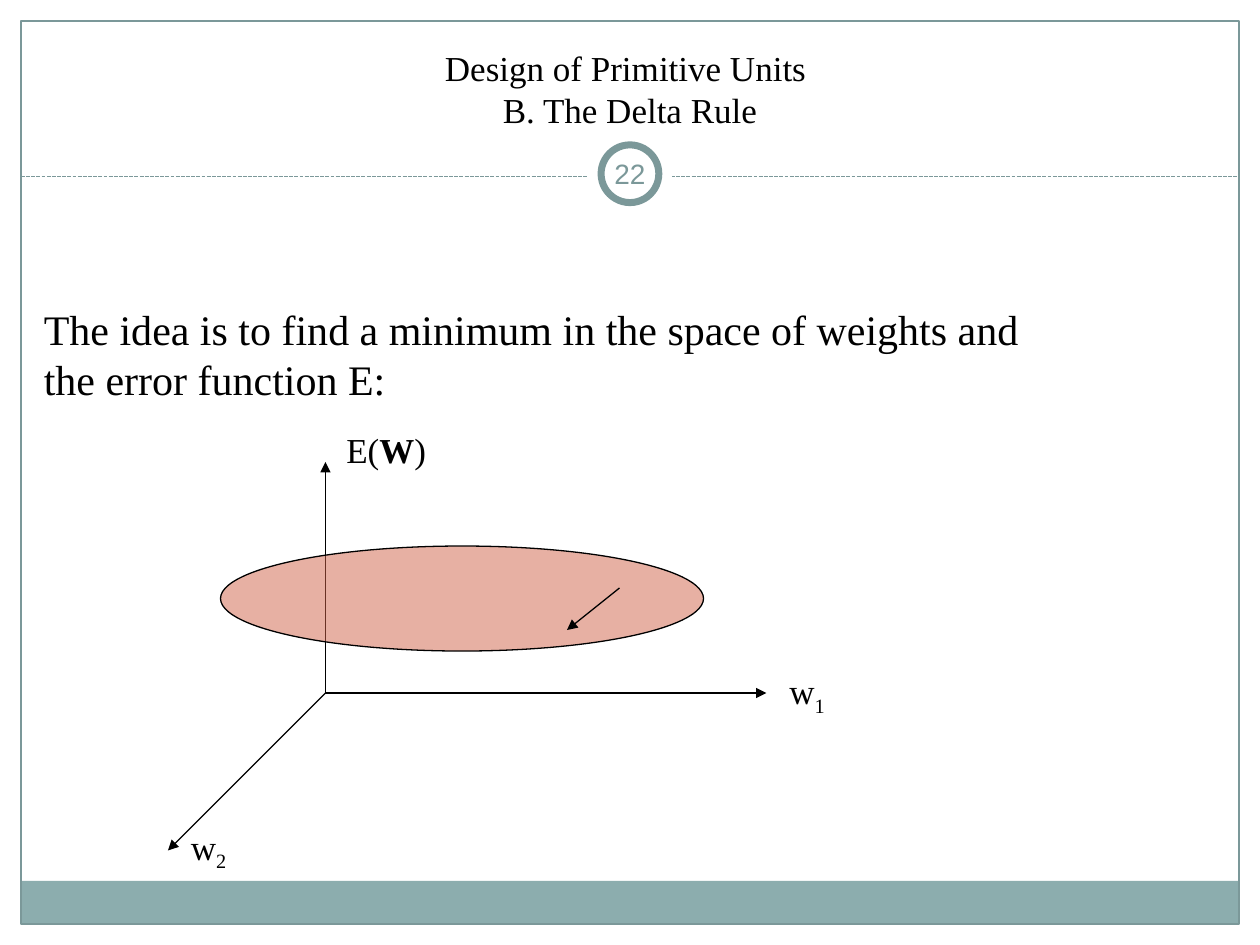
from dataclasses import dataclass

from lxml.etree import SubElement
from pptx import Presentation
from pptx.dml.color import RGBColor
from pptx.enum.dml import MSO_LINE
from pptx.enum.shapes import MSO_CONNECTOR, MSO_SHAPE as SHAPE
from pptx.enum.text import MSO_ANCHOR as ANCHOR, MSO_AUTO_SIZE as AUTO, PP_ALIGN as ALIGN
from pptx.oxml.ns import qn
from pptx.util import Inches, Pt


@dataclass(frozen=True)
class Theme:
    """Colours, fonts and type sizes of the slide."""
    ink: str = "000000"
    paper: str = "FFFFFF"
    teal: str = "7B9899"
    band: str = "8CADAE"
    surface: str = "D16349"
    serif: str = "Times New Roman"
    sans: str = "Arial"
    number: int = 16
    label: int = 20
    body: int = 24
    hairline: float = 0.75
    ring: float = 4


THEME = Theme()
COLUMNS, ROWS = 120, 90
CELL = Inches(10) / COLUMNS


def grid(*cells):
    """Turn grid columns and rows into lengths."""
    return [round(cell * CELL) for cell in cells]


def write(frame, *paragraphs, size=THEME.label, font=THEME.serif, color=THEME.ink,
          align=ALIGN.LEFT, anchor=ANCHOR.TOP, insets=(0.1, 0.05), hanging=0,
          wrap=True, grow=False):
    """Fill a text frame with paragraphs made of (text, style) pieces."""
    frame.word_wrap = wrap
    frame.auto_size = AUTO.SHAPE_TO_FIT_TEXT if grow else AUTO.NONE
    frame.vertical_anchor = anchor
    frame.margin_left = frame.margin_right = Inches(insets[0])
    frame.margin_top = frame.margin_bottom = Inches(insets[1])
    for index, pieces in enumerate(paragraphs):
        paragraph = frame.add_paragraph() if index else frame.paragraphs[0]
        paragraph.alignment = align
        paragraph.space_before = Pt(0)
        if hanging:
            properties = paragraph._p.get_or_add_pPr()
            properties.set("marL", str(Inches(hanging)))
            properties.set("indent", str(-Inches(hanging)))
        for text, style in pieces:
            if style == "new line":
                paragraph.add_line_break()
            run = paragraph.add_run()
            run.text = text
            run.font.size = Pt(size)
            run.font.name = font
            run.font.color.rgb = RGBColor.from_string(color)
            run.font.bold = style == "bold"
            if style == "subscript":
                run._r.get_or_add_rPr().set("baseline", "-25000")


def add_text(slide, place, *paragraphs, **style):
    """Add a text box at a grid place."""
    box = slide.shapes.add_textbox(*grid(*place))
    write(box.text_frame, *paragraphs, **style)


def add_figure(slide, kind, place, fill=None, line=None, width=THEME.hairline, opacity=100):
    """Add a preset shape at a grid place."""
    figure = slide.shapes.add_shape(kind, *grid(*place))
    figure.shadow.inherit = False
    if fill:
        figure.fill.solid()
        figure.fill.fore_color.rgb = RGBColor.from_string(fill)
        if opacity < 100:
            tint = figure._element.spPr.find(qn("a:solidFill")).find(qn("a:srgbClr"))
            SubElement(tint, qn("a:alpha")).set("val", str(opacity * 1000))
    else:
        figure.fill.background()
    if line:
        figure.line.color.rgb = RGBColor.from_string(line)
        figure.line.width = Pt(width)
    else:
        figure.line.fill.background()


def add_line(slide, start, end, color=THEME.ink, dash=None, arrow=True):
    """Add a straight line between two grid points."""
    line = slide.shapes.add_connector(MSO_CONNECTOR.STRAIGHT, *grid(*start, *end))
    line.line.color.rgb = RGBColor.from_string(color)
    line.line.width = Pt(THEME.hairline)
    if dash:
        line.line.dash_style = dash
    if arrow:
        SubElement(line.line._get_or_add_ln(), qn("a:tailEnd")).set("type", "triangle")
    SubElement(line._element.spPr, qn("a:effectLst"))


def add_frame(slide, number):
    """Draw the border, footer band, divider and number badge."""
    add_figure(slide, SHAPE.RECTANGLE, (2, 83.9, COLUMNS - 4, 4.1), fill=THEME.band)
    add_figure(slide, SHAPE.RECTANGLE, (2, 2, COLUMNS - 4, ROWS - 4), line=THEME.teal)
    add_line(slide, (2, 16.8), (COLUMNS - 2, 16.8), THEME.teal, MSO_LINE.SQUARE_DOT, arrow=False)
    add_figure(slide, SHAPE.OVAL, (56, 12.6, 8, 8), fill=THEME.paper)
    add_figure(slide, SHAPE.OVAL, (57.25, 13.8, 5.5, 5.5), THEME.paper, THEME.teal, THEME.ring)
    add_text(slide, (57, 13.6, 6, 5.8), [(number, "")], size=THEME.number, font=THEME.sans,
             color=THEME.teal, align=ALIGN.CENTER, anchor=ANCHOR.MIDDLE, insets=(0.05, 0.05))


def add_title(slide, *pieces):
    """Place and write the title."""
    title = slide.shapes.title
    title.left, title.top, title.width, title.height = grid(4, 3, 112, 10)
    write(title.text_frame, pieces, align=ALIGN.CENTER, anchor=ANCHOR.BOTTOM)


def add_error_surface(slide):
    """Draw the weight axes, the error surface and the descent step."""
    origin = (31, 66)
    for tip in ((73, 66), (16, 81), (31, 44)):
        add_line(slide, origin, tip)
    add_figure(slide, SHAPE.OVAL, (21, 52, 46, 10), THEME.surface, THEME.ink, opacity=50)
    labels = (
        ((74, 63.2, 5.8, 5.8), [("w", ""), ("1", "subscript")]),
        ((17, 78, 5.8, 5.8), [("w", ""), ("2", "subscript")]),
        ((31.8, 40.2, 10, 5.3), [("E(", ""), ("W", "bold"), (")", "")]),
    )
    for place, pieces in labels:
        add_text(slide, place, pieces, wrap=False, grow=True)
    add_line(slide, (59, 56), (54, 60))


def main():
    """Build and save the slide."""
    deck = Presentation()
    deck.slide_width, deck.slide_height = grid(COLUMNS, ROWS)
    slide = deck.slides.add_slide(deck.slide_layouts[5])
    add_frame(slide, "22")
    add_title(slide, ("Design of Primitive Units ", ""), ("B. The Delta Rule", "new line"))
    add_text(slide, (3, 28.3, 108.2, 10.8),
             [("The idea is to find a minimum in the space of weights and", "")],
             [("the error function E:", "")],
             size=THEME.body, hanging=0.5, grow=True)
    add_error_surface(slide)
    deck.save("out.pptx")


if __name__ == "__main__":
    main()
